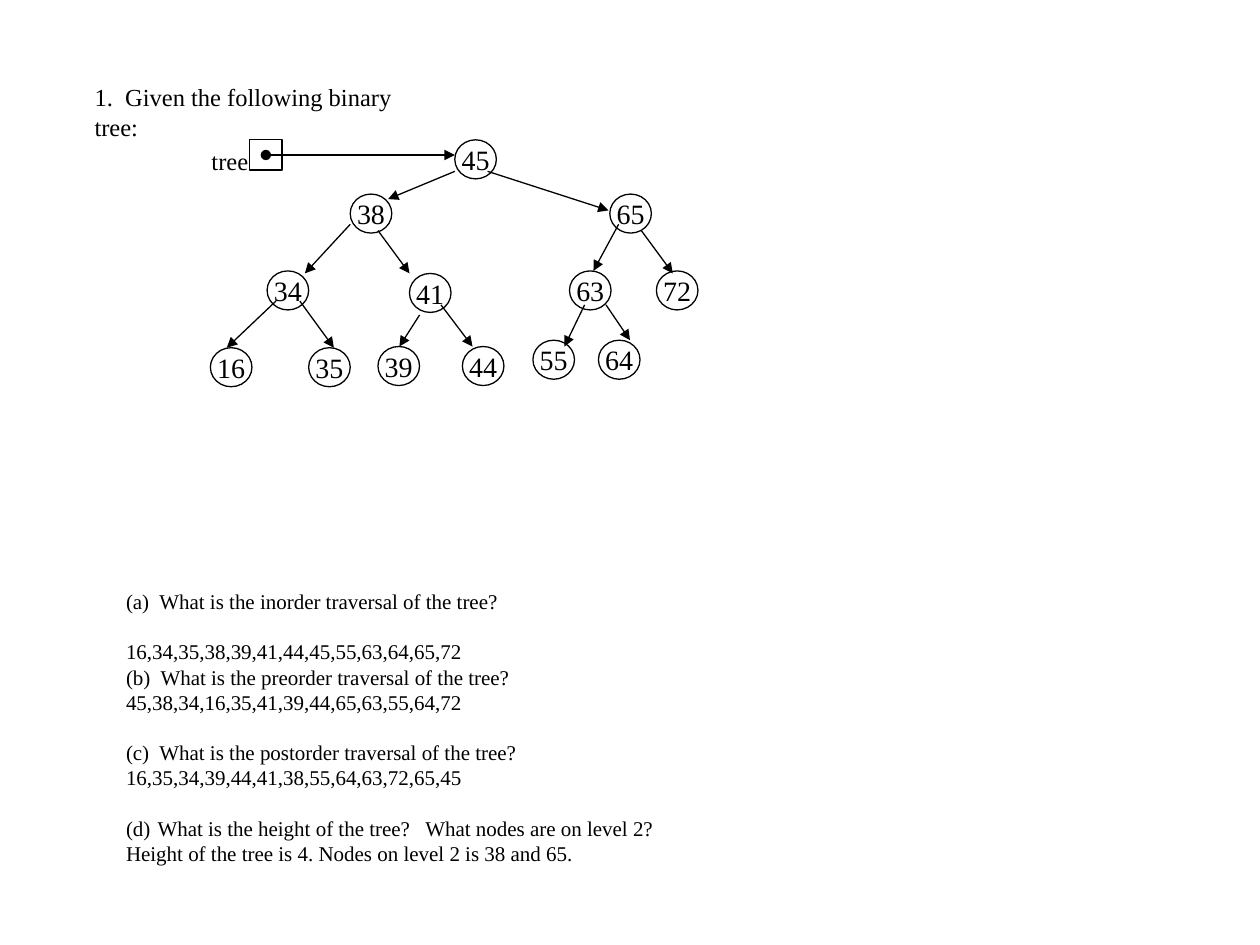
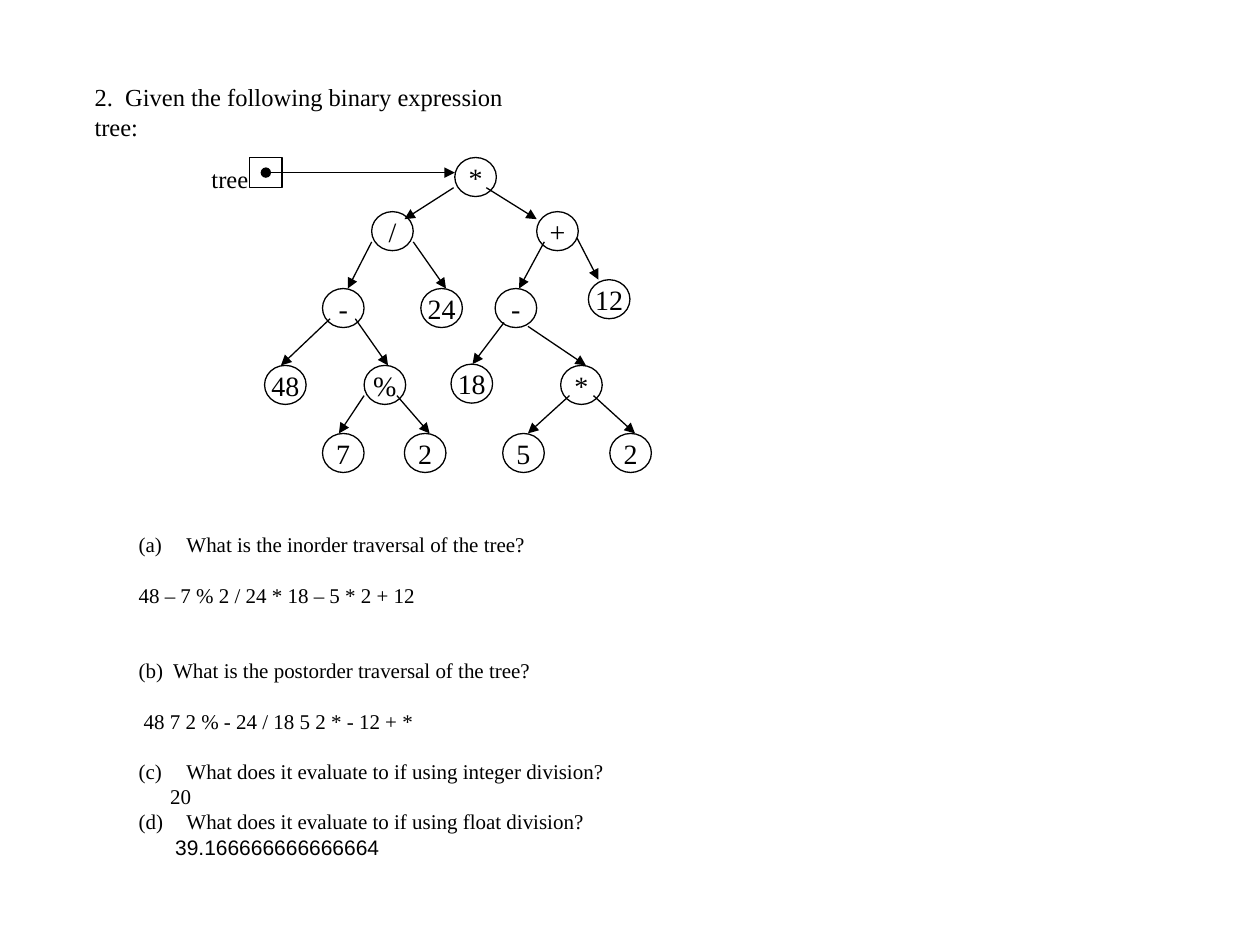
"""Builds two exercise slides on binary trees and their traversals."""
from lxml.etree import SubElement
from pptx import Presentation
from pptx.dml.color import RGBColor
from pptx.enum.shapes import MSO_CONNECTOR, MSO_SHAPE
from pptx.enum.text import MSO_ANCHOR, MSO_AUTO_SIZE, PP_ALIGN
from pptx.oxml.ns import qn
from pptx.util import Inches, Pt

COLORS = {"ink": "000000", "paper": "FFFFFF"}
SERIF, SANS = "Times New Roman", "Arial"
NODE_WIDTH, NODE_HEIGHT = 0.33, 0.31
POINTER_LEFT, POINTER_WIDTH, POINTER_HEIGHT = 1.98, 0.26, 0.24
ROOT_LEFT = 3.61
LINE_POINTS = {12: 14.4, 14: 17.1}

EXERCISES = [
    {
        "title": "1.  Given the following binary tree:",
        "title_width": 2.85,
        "body_box": (0.9, 4.62, 5.29, 2.32),
        "answers": [
            {"text": "(a)  What is the inorder traversal of the tree?"},
            {"text": "16,34,35,38,39,41,44,45,55,63,64,65,72", "gap": 1},
            {"text": "(b)  What is the preorder traversal of the tree?"},
            {"text": "45,38,34,16,35,41,39,44,65,63,55,64,72"},
            {"text": "(c)  What is the postorder traversal of the tree?", "gap": 1},
            {"text": "16,35,34,39,44,41,38,55,64,63,72,65,45"},
            {"text": "What is the height of the tree?   What nodes are on level 2?",
             "gap": 1, "number": 4, "indent": 0.25},
            {"text": "Height of the tree is 4. Nodes on level 2 is 38 and 65."},
        ],
        "root_top": 1.11,
        "nodes": [
            ("45", ROOT_LEFT, 1.11),
            ("38", 2.78, 1.54), ("65", 4.84, 1.54),
            ("34", 2.12, 2.15), ("41", 3.25, 2.17), ("63", 4.52, 2.15), ("72", 5.21, 2.15),
            ("16", 1.67, 2.76), ("35", 2.45, 2.76), ("39", 3, 2.75), ("44", 3.67, 2.75),
            ("55", 4.23, 2.7), ("64", 4.75, 2.7),
        ],
        "branches": [
            (3.61, 1.36, 3.08, 1.58), (3.87, 1.36, 4.83, 1.67),
            (2.78, 1.78, 2.42, 2.17), (3, 1.83, 3.25, 2.17),
            (4.91, 1.78, 4.71, 2.15), (5.09, 1.83, 5.34, 2.17),
            (2.19, 2.39, 1.8, 2.76), (2.38, 2.39, 2.65, 2.76),
            (3.33, 2.5, 3.17, 2.75), (3.5, 2.42, 3.75, 2.75),
            (4.64, 2.42, 4.48, 2.75), (4.81, 2.42, 5, 2.7),
        ],
    },
    {
        "title": "2.  Given the following binary expression tree:",
        "title_width": 3.75,
        "body_box": (1, 4.17, 3.94, 3.23),
        "answers": [
            {"text": "What is the inorder traversal of the tree?", "number": 1, "indent": 0.38},
            {"text": "48 – 7 % 2 / 24 * 18 – 5 * 2 + 12", "gap": 1},
            {"text": "(b)  What is the postorder traversal of the tree?", "gap": 2},
            {"text": "48 7 2 % - 24 / 18 5 2 * - 12 + *", "gap": 1, "indent": 0.04},
            {"text": "What does it evaluate to if using integer division?",
             "gap": 1, "number": 3, "indent": 0.38},
            {"text": "20", "indent": 0.25},
            {"text": "What does it evaluate to if using float division?",
             "number": 4, "indent": 0.38},
            {"text": "39.166666666666664", "indent": 0.29, "font": SANS},
        ],
        "root_top": 1.25,
        "nodes": [
            ("*", ROOT_LEFT, 1.25),
            ("/", 2.95, 1.68), ("+", 4.26, 1.68),
            ("-", 2.56, 2.29), ("24", 3.34, 2.29), ("-", 3.93, 2.29), ("12", 4.67, 2.22),
            ("48", 2.1, 2.9), ("%", 2.89, 2.9), ("18", 3.58, 2.89), ("*", 4.45, 2.9),
            ("7", 2.56, 3.44), ("2", 3.21, 3.44), ("5", 3.99, 3.44), ("2", 4.84, 3.44),
        ],
        "branches": [
            (3.6, 1.49, 3.21, 1.74), (3.86, 1.49, 4.26, 1.74),
            (2.95, 1.92, 2.76, 2.29), (3.28, 1.92, 3.54, 2.29),
            (4.32, 1.92, 4.12, 2.29), (4.58, 1.89, 4.75, 2.22),
            (2.62, 2.53, 2.23, 2.9), (2.82, 2.53, 3.08, 2.9),
            (4, 2.56, 3.75, 2.89), (4.19, 2.59, 4.65, 2.9),
            (2.89, 3.14, 2.69, 3.44), (3.15, 3.14, 3.41, 3.44),
            (4.52, 3.14, 4.19, 3.44), (4.71, 3.14, 5.04, 3.44),
        ],
    },
]


def color(name):
    return RGBColor.from_string(COLORS[name])


def place(box, left, top, width, height):
    box.left, box.top = Inches(left), Inches(top)
    box.width, box.height = Inches(width), Inches(height)


def set_frame(box, wrap, anchor):
    frame = box.text_frame
    frame.word_wrap = wrap
    frame.auto_size = MSO_AUTO_SIZE.NONE
    frame.vertical_anchor = anchor
    return frame


def style_paragraph(para, size, align=PP_ALIGN.LEFT, font=SERIF):
    para.alignment = align
    for span in para.runs:
        span.font.size = Pt(size)
        span.font.name = font
        span.font.color.rgb = color("ink")


def style_line(line):
    line.color.rgb = color("ink")
    line.width = Pt(0.75)


def add_title(page, text, width):
    title = page.shapes.title
    place(title, 0.65, 0.6, width, 0.6)
    frame = set_frame(title, True, MSO_ANCHOR.TOP)
    frame.text = text
    para = frame.paragraphs[0]
    style_paragraph(para, 14)
    para.line_spacing = Pt(LINE_POINTS[14])


def add_answers(page, body_box, answers):
    body = page.placeholders[1]
    place(body, *body_box)
    frame = set_frame(body, True, MSO_ANCHOR.TOP)
    frame.text = "\n".join(answer["text"] for answer in answers)
    for para, answer in zip(frame.paragraphs, answers):
        style_paragraph(para, 12, font=answer.get("font", SERIF))
        para.line_spacing = Pt(LINE_POINTS[12])
        para.space_before = Pt(LINE_POINTS[12] * answer.get("gap", 0))
        para.space_after = Pt(0)
        indent = Inches(answer.get("indent", 0))
        properties = para._p.get_or_add_pPr()
        properties.set("marL", str(indent))
        if "number" in answer:
            properties.set("indent", str(-indent))
            SubElement(properties, qn("a:buFont"), typeface=SERIF)
            SubElement(properties, qn("a:buAutoNum"), type="alphaLcParenBoth",
                       startAt=str(answer["number"]))
        else:
            properties.set("indent", "0")
            SubElement(properties, qn("a:buNone"))


def add_outline(page, kind, left, top, width, height):
    shape = page.shapes.add_shape(
        kind, Inches(left), Inches(top), Inches(width), Inches(height))
    shape.shadow.inherit = False
    shape.fill.background()
    style_line(shape.line)
    return shape


def add_node(page, label, left, top):
    node = add_outline(page, MSO_SHAPE.OVAL, left, top, NODE_WIDTH, NODE_HEIGHT)
    frame = set_frame(node, False, MSO_ANCHOR.MIDDLE)
    frame.text = label
    style_paragraph(frame.paragraphs[0], 16, PP_ALIGN.CENTER)


def add_arrow(page, x1, y1, x2, y2, head=None):
    arrow = page.shapes.add_connector(
        MSO_CONNECTOR.STRAIGHT, Inches(x1), Inches(y1), Inches(x2), Inches(y2))
    style_line(arrow.line)
    line = arrow.line._get_or_add_ln()
    if head:
        SubElement(line, qn("a:headEnd"), type=head)
    SubElement(line, qn("a:tailEnd"), type="triangle")
    SubElement(arrow._element.spPr, qn("a:effectLst"))


def add_root_pointer(page, top):
    add_outline(page, MSO_SHAPE.RECTANGLE, POINTER_LEFT, top, POINTER_WIDTH, POINTER_HEIGHT)
    label = page.shapes.add_textbox(Inches(1.58), Inches(top), Inches(0.49), Inches(0.33))
    frame = set_frame(label, False, MSO_ANCHOR.TOP)
    frame.text = "tree"
    style_paragraph(frame.paragraphs[0], 14)
    middle = top + POINTER_HEIGHT / 2
    add_arrow(page, POINTER_LEFT + POINTER_WIDTH / 2, middle, ROOT_LEFT, middle, "oval")


def build_page(deck, exercise):
    page = deck.slides.add_slide(deck.slide_layouts[1])
    page.background.fill.solid()
    page.background.fill.fore_color.rgb = color("paper")
    add_title(page, exercise["title"], exercise["title_width"])
    add_answers(page, exercise["body_box"], exercise["answers"])
    for node in exercise["nodes"]:
        add_node(page, *node)
    for branch in exercise["branches"]:
        add_arrow(page, *branch)
    add_root_pointer(page, exercise["root_top"])


deck = Presentation()
deck.slide_width, deck.slide_height = Inches(10), Inches(7.5)
for exercise in EXERCISES:
    build_page(deck, exercise)
deck.save("out.pptx")
